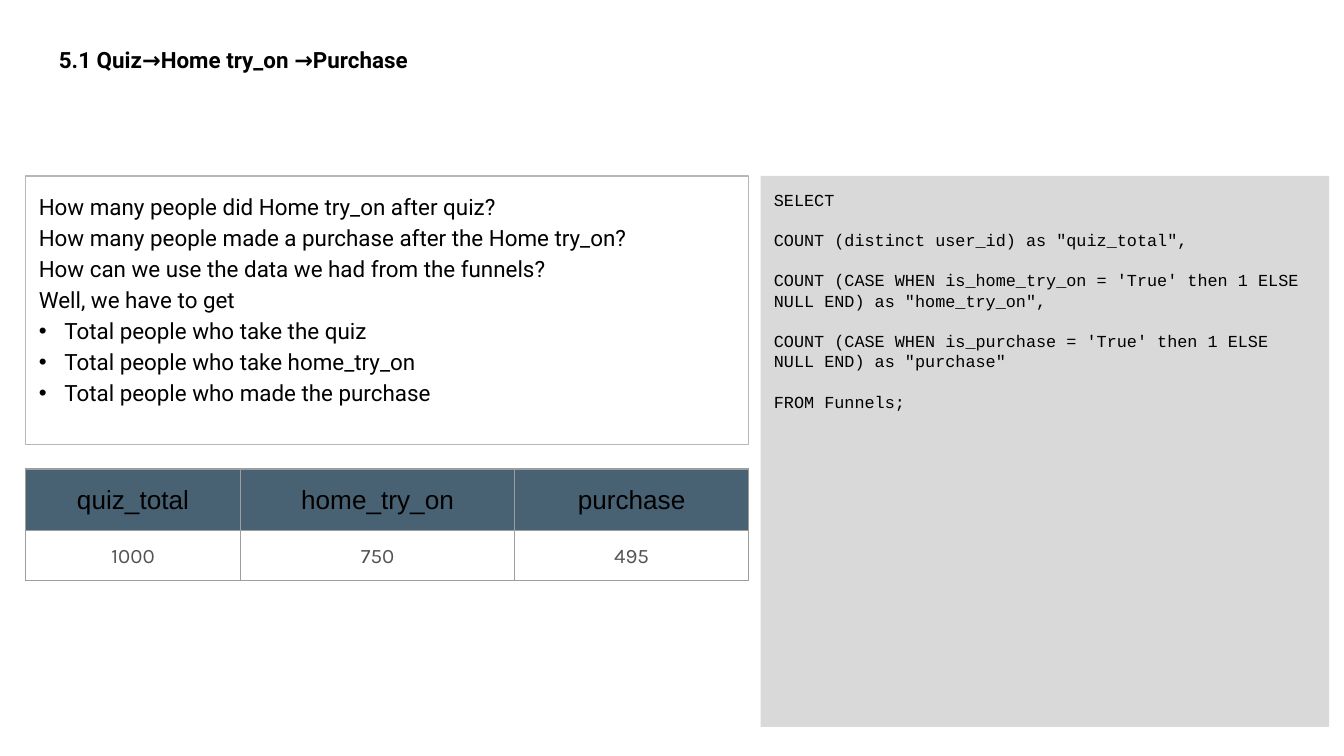
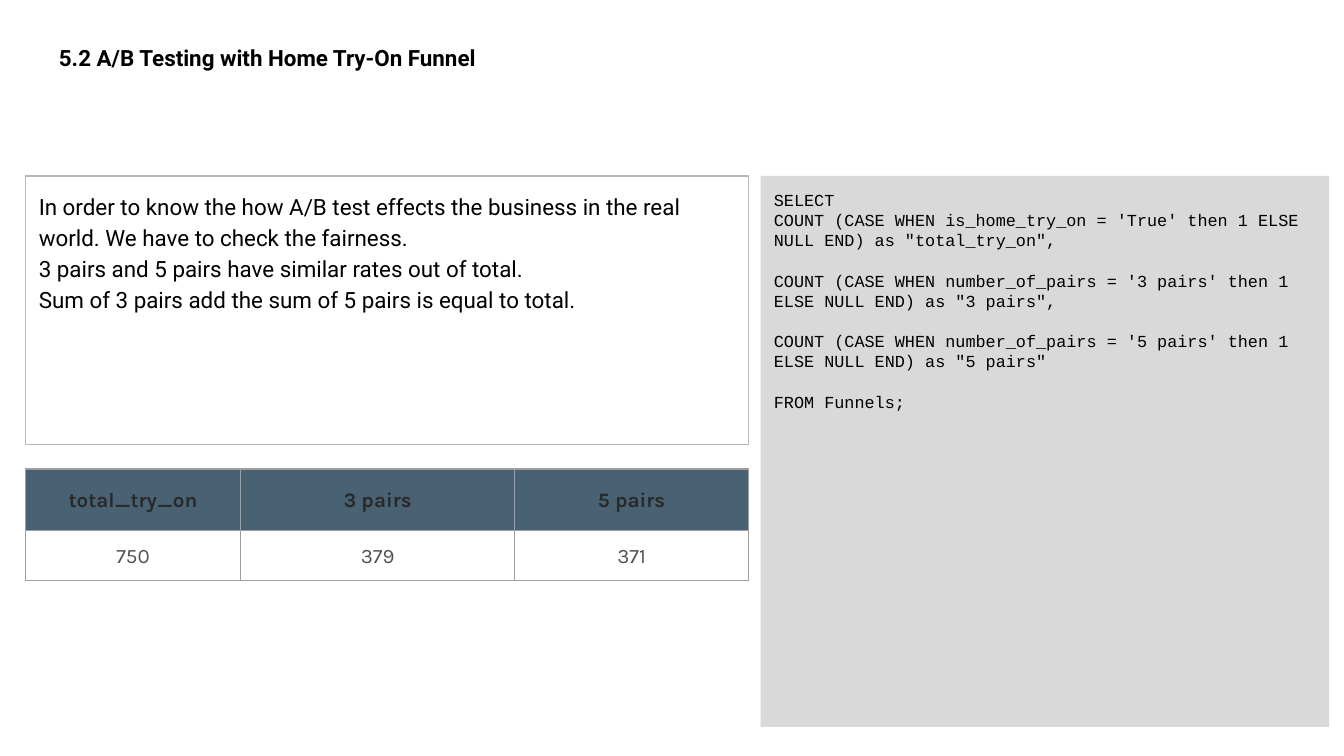
from dataclasses import dataclass

from lxml.etree import SubElement
from pptx import Presentation
from pptx.dml.color import RGBColor as RGB
from pptx.enum.shapes import MSO_SHAPE as SHAPE
from pptx.enum.text import MSO_ANCHOR as ANCHOR, PP_ALIGN as ALIGN
from pptx.oxml.ns import qn
from pptx.util import Inches, Pt


@dataclass(frozen=True)
class Style:
    """Font, size, colour and weight of a run."""
    font: str
    size: float
    color: str
    bold: bool = False


@dataclass(frozen=True)
class Theme:
    """Colours and text styles shared by the slides."""
    background: str = "FFFFFF"
    code_fill: str = "D9D9D9"
    box_line: str = "B7B7B7"
    grid_line: str = "9E9E9E"
    header_fill: str = "204056"
    header_alpha: int = 82
    line_width: float = 0.75
    code_gap: float = 10.8
    bullet_font: str = "Arial"
    title: Style = Style("Roboto", 12, "000000", True)
    body: Style = Style("Roboto", 12, "000000")
    code: Style = Style("Courier New", 9, "000000")
    plain_header: Style = Style("Arial", 14, "000000")
    bold_header: Style = Style("Karla", 11, "292929", True)
    value: Style = Style("Karla", 11, "525252")


THEME = Theme()
SLIDE_WIDTH = 10
LEFT, PANEL_TOP, LEFT_WIDTH = 0.19, 1.31, 5.38
COLUMNS = (1.6, 2.04, 1.74)
ROWS = (0.46, 0.37)


def add_run(p, text, style):
    """Add one styled run to a paragraph."""
    r = p.add_run()
    r.text = text
    r.font.name = style.font
    r.font.size = Pt(style.size)
    r.font.bold = style.bold
    r.font.color.rgb = RGB.from_string(style.color)


def add_bullet(p):
    """Give a paragraph a hanging round bullet."""
    pPr = p._p.get_or_add_pPr()
    pPr.set("marL", str(Inches(0.19)))
    pPr.set("indent", str(-Inches(0.19)))
    color = SubElement(pPr, qn("a:buClr"))
    SubElement(color, qn("a:srgbClr"), val=THEME.body.color)
    SubElement(pPr, qn("a:buFont"), typeface=THEME.bullet_font)
    SubElement(pPr, qn("a:buChar"), char="•")


def set_frame(tf, anchor):
    """Set wrapping, anchor and even insets of a text frame."""
    tf.word_wrap = True
    tf.vertical_anchor = anchor
    tf.margin_left = tf.margin_right = Inches(0.1)
    tf.margin_top = tf.margin_bottom = Inches(0.1)


def write_lines(tf, lines, style):
    """Write lines as left-aligned paragraphs and return these."""
    for i, line in enumerate(lines):
        p = tf.paragraphs[0] if i == 0 else tf.add_paragraph()
        p.alignment = ALIGN.LEFT
        add_run(p, line, style)
    return tf.paragraphs


def add_title(s, text, height):
    """Add the slide title."""
    sp = s.shapes.add_textbox(Inches(0.34), Inches(0.32), Inches(9.32), Inches(height))
    set_frame(sp.text_frame, ANCHOR.BOTTOM)
    write_lines(sp.text_frame, [text], THEME.title)


def add_panel(s, left, width, height, fill=None, line=None):
    """Add a rectangular text panel and return its text frame."""
    sp = s.shapes.add_shape(SHAPE.RECTANGLE, Inches(left), Inches(PANEL_TOP),
                            Inches(width), Inches(height))
    sp.shadow.inherit = False
    if fill:
        sp.fill.solid()
        sp.fill.fore_color.rgb = RGB.from_string(fill)
    else:
        sp.fill.background()
    if line:
        sp.line.color.rgb = RGB.from_string(line)
        sp.line.width = Pt(THEME.line_width)
    else:
        sp.line.fill.background()
    set_frame(sp.text_frame, ANCHOR.TOP)
    return sp.text_frame


def add_query(s, first, clauses):
    """Add the grey code panel, with a line's gap before each clause."""
    tf = add_panel(s, 5.66, 4.23, 4.1, fill=THEME.code_fill)
    paragraphs = write_lines(tf, [*first, *clauses], THEME.code)
    for p in paragraphs[len(first):]:
        p.space_before = Pt(THEME.code_gap)


def add_notes_box(s, lines, bullets=()):
    """Add the outlined explanation box."""
    tf = add_panel(s, LEFT, LEFT_WIDTH, 2, line=THEME.box_line)
    paragraphs = write_lines(tf, [*lines, *bullets], THEME.body)
    for p in paragraphs:
        p.line_spacing = 1.15
    for p in paragraphs[len(lines):]:
        add_bullet(p)


def border_cell(cell):
    """Draw thin lines on all sides of a cell."""
    tcPr = cell._tc.get_or_add_tcPr()
    for i, side in enumerate(("lnL", "lnR", "lnT", "lnB")):
        ln = SubElement(tcPr, qn(f"a:{side}"), w=str(Pt(THEME.line_width)))
        fill = SubElement(ln, qn("a:solidFill"))
        SubElement(fill, qn("a:srgbClr"), val=THEME.grid_line)
        tcPr.remove(ln)
        tcPr.insert(i, ln)


def fill_header(cell):
    """Fill a header cell with the translucent header colour."""
    cell.fill.solid()
    cell.fill.fore_color.rgb = RGB.from_string(THEME.header_fill)
    color = cell._tc.tcPr.find(f"{qn('a:solidFill')}/{qn('a:srgbClr')}")
    SubElement(color, qn("a:alpha"), val=str(THEME.header_alpha * 1000))


def add_results(s, headers, values, header_style):
    """Add the query result table."""
    table = s.shapes.add_table(len(ROWS), len(COLUMNS), Inches(LEFT), Inches(3.49),
                               Inches(LEFT_WIDTH), Inches(sum(ROWS))).table
    table.first_row = table.horz_banding = False
    for column, width in zip(table.columns, COLUMNS):
        column.width = Inches(width)
    for row, height in zip(table.rows, ROWS):
        row.height = Inches(height)
    content = ((headers, header_style), (values, THEME.value))
    for row, (texts, style) in zip(table.rows, content):
        for cell, text in zip(row.cells, texts):
            cell.margin_left = cell.margin_right = cell.margin_top = Inches(0.01)
            cell.margin_bottom = 0
            cell.vertical_anchor = ANCHOR.MIDDLE
            p = cell.text_frame.paragraphs[0]
            p.alignment = ALIGN.CENTER
            add_run(p, text, style)
            if texts is headers:
                fill_header(cell)
            else:
                cell.fill.background()
            border_cell(cell)


def add_slide(prs):
    """Add a blank slide with the theme background."""
    s = prs.slides.add_slide(prs.slide_layouts[6])
    s.background.fill.solid()
    s.background.fill.fore_color.rgb = RGB.from_string(THEME.background)
    return s


def add_funnel_slide(prs):
    """Build the slide on the quiz to purchase funnel."""
    s = add_slide(prs)
    add_title(s, "5.1 Quiz→Home try_on →Purchase", 0.32)
    add_query(s, ["SELECT"], [
        'COUNT (distinct user_id) as "quiz_total",',
        "COUNT (CASE WHEN is_home_try_on = 'True' then 1 ELSE NULL END) as \"home_try_on\",",
        "COUNT (CASE WHEN is_purchase = 'True' then 1 ELSE NULL END) as \"purchase\"",
        "FROM Funnels;",
    ])
    add_notes_box(s, [
        "How many people did Home try_on after quiz?",
        "How many people made a purchase after the Home try_on?",
        "How can we use the data we had from the funnels?",
        "Well, we have to get",
    ], bullets=[
        "Total people who take the quiz",
        "Total people who take home_try_on",
        "Total people who made the purchase",
    ])
    add_results(s, ("quiz_total", "home_try_on", "purchase"),
                ("1000", "750", "495"), THEME.plain_header)


def add_ab_test_slide(prs):
    """Build the slide on the A/B test."""
    s = add_slide(prs)
    add_title(s, "5.2 A/B Testing with Home Try-On Funnel", 0.31)
    add_query(s, [
        "SELECT",
        "COUNT (CASE WHEN is_home_try_on = 'True' then 1 ELSE NULL END) as \"total_try_on\",",
    ], [
        "COUNT (CASE WHEN number_of_pairs = '3 pairs' then 1 ELSE NULL END) as \"3 pairs\",",
        "COUNT (CASE WHEN number_of_pairs = '5 pairs' then 1 ELSE NULL END) as \"5 pairs\"",
        "FROM Funnels;",
    ])
    add_notes_box(s, [
        "In order to know the how A/B test effects the business in the real world. "
        "We have to check the fairness.",
        "3 pairs and 5 pairs have similar rates out of total.",
        "Sum of 3 pairs add the sum of 5 pairs is equal to total.",
    ])
    add_results(s, ("total_try_on", "3 pairs", "5 pairs"),
                ("750", "379", "371"), THEME.bold_header)


def main():
    """Build and save the presentation."""
    prs = Presentation()
    prs.slide_width = Inches(SLIDE_WIDTH)
    prs.slide_height = Inches(SLIDE_WIDTH * 9 / 16)
    add_funnel_slide(prs)
    add_ab_test_slide(prs)
    prs.save("out.pptx")


if __name__ == "__main__":
    main()
